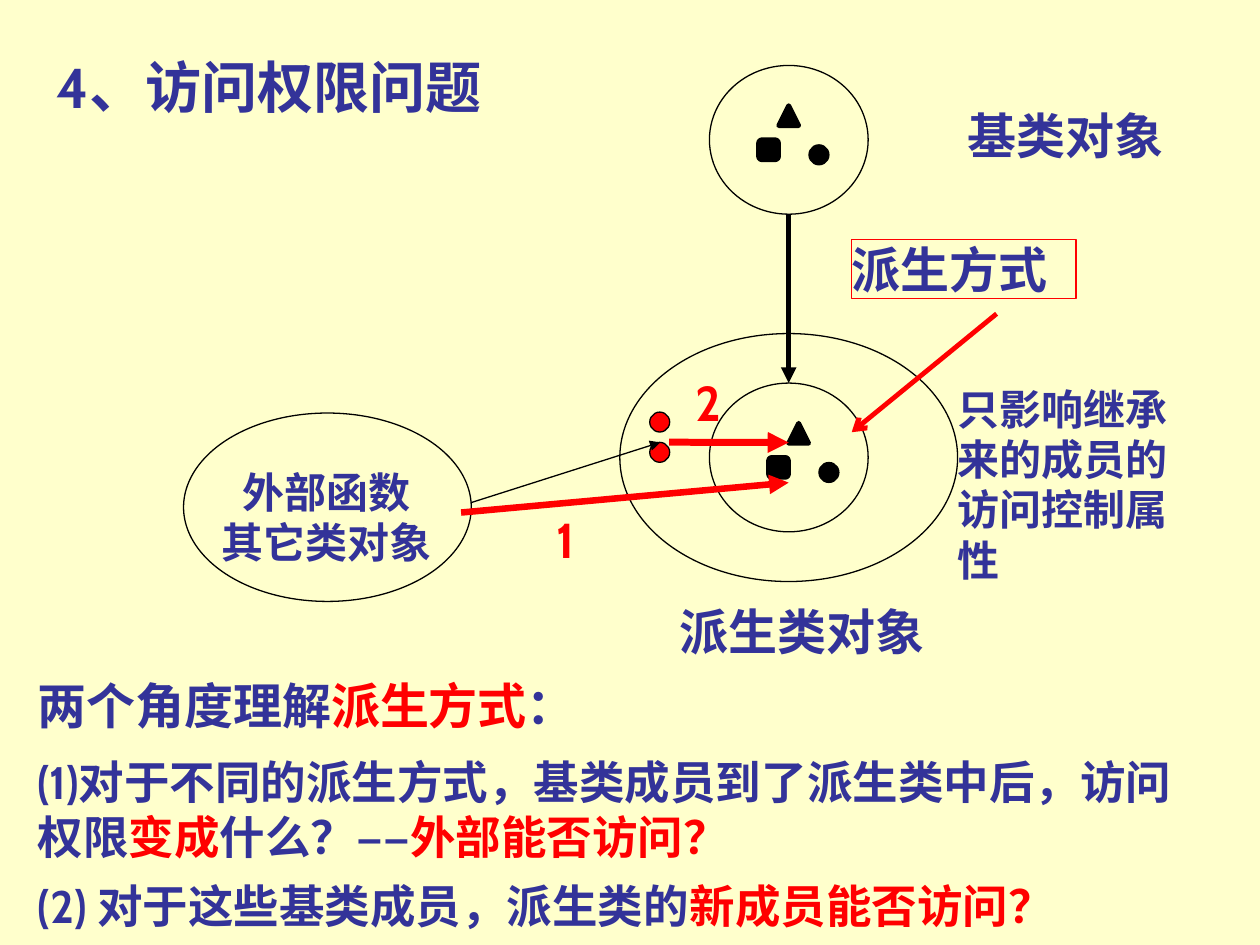
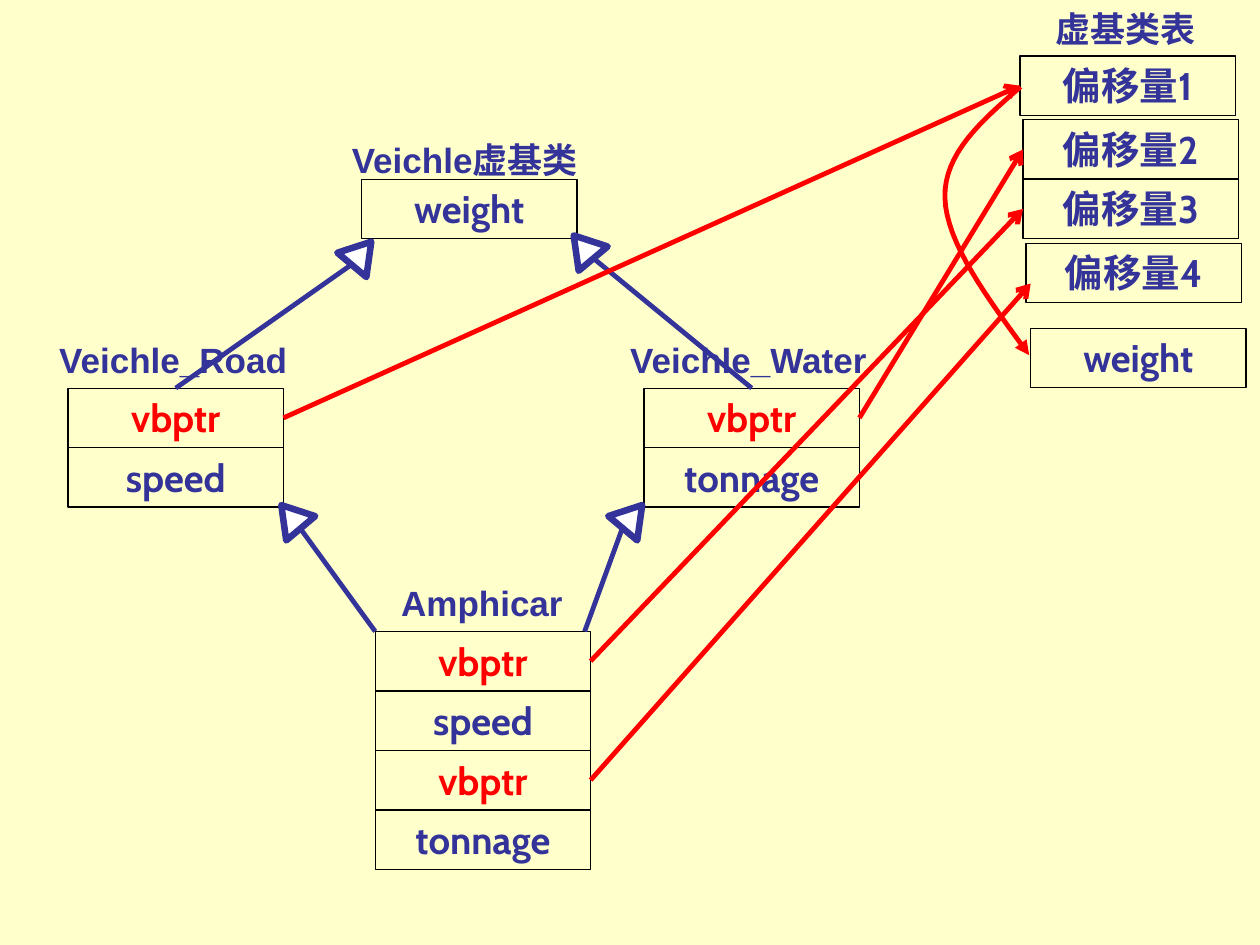
from dataclasses import dataclass
from lxml import etree
from pptx import Presentation
from pptx.dml.color import RGBColor
from pptx.enum.shapes import MSO_CONNECTOR as CONN, MSO_SHAPE as SHAPE
from pptx.enum.text import MSO_ANCHOR as ANCHOR, PP_ALIGN as ALIGN
from pptx.oxml.ns import qn
from pptx.util import Pt


@dataclass(frozen=True)
class Theme:
    paper: str = "FFFFCC"
    ink: str = "333399"
    accent: str = "FF0000"
    black: str = "000000"
    white: str = "FFFFFF"
    body_font: str = "Cabin"
    name_font: str = "Arial"
    title: int = 32
    label: int = 28
    question: int = 26
    note: int = 24
    cell: int = 22
    name: int = 20
    hair: float = 0.75
    thick: float = 2.75


T = Theme()
TOP, LEFT, RIGHT = 0, 1, 3
CELL_W, CELL_H = 123.1, 34
DOT = 11.4


def write(tf, paragraphs, size=T.label, font=T.body_font, color=T.ink,
          align=ALIGN.LEFT, anchor=ANCHOR.TOP, inset=(0, 0)):
    """Each paragraph is a list of runs; a run is a text or (text, color)."""
    tf.word_wrap = True
    tf.vertical_anchor = anchor
    tf.margin_left = tf.margin_right = Pt(inset[0])
    tf.margin_top = tf.margin_bottom = Pt(inset[1])
    for i, runs in enumerate(paragraphs):
        p = tf.paragraphs[0] if i == 0 else tf.add_paragraph()
        p.alignment = align
        for run in runs:
            text, run_color = (run, color) if isinstance(run, str) else run
            r = p.add_run()
            r.text = text
            r.font.size, r.font.bold, r.font.name = Pt(size), True, font
            r.font.color.rgb = RGBColor.from_string(run_color)
            # East Asian glyphs follow the same font's metrics
            etree.SubElement(r.font._element, qn("a:ea"), typeface=font)


class Deck:
    PADDED = (7.2, 3.6)

    def __init__(self):
        self.prs = Presentation()
        self.prs.slide_width, self.prs.slide_height = Pt(720), Pt(540)
        self.s = None

    def slide(self):
        self.s = self.prs.slides.add_slide(self.prs.slide_layouts[6])
        fill = self.s.background.fill
        fill.solid()
        fill.fore_color.rgb = RGBColor.from_string(T.paper)

    def text(self, x, y, w, h, *paragraphs, **fmt):
        box = self.s.shapes.add_textbox(Pt(x), Pt(y), Pt(w), Pt(h))
        write(box.text_frame, paragraphs, **fmt)

    def style(self, sp, fill, line, width):
        sp.shadow.inherit = False
        if fill:
            sp.fill.solid()
            sp.fill.fore_color.rgb = RGBColor.from_string(fill)
        else:
            sp.fill.background()
        sp.line.color.rgb = RGBColor.from_string(line)
        sp.line.width = Pt(width)

    def shape(self, kind, x, y, w, h, fill=None, line=T.black, width=T.hair, turn=0):
        sp = self.s.shapes.add_shape(kind, Pt(x), Pt(y), Pt(w), Pt(h))
        self.style(sp, fill, line, width)
        sp.rotation = turn
        return sp

    def head(self, sp, kind):
        etree.SubElement(sp.line._get_or_add_ln(), qn("a:tailEnd"), type=kind)

    def line(self, start, end, color=T.accent, width=T.thick, head=None):
        """An end is a point, or a (shape, side) pair to join."""
        points = [(0, 0) if hasattr(e[0], "shape_type") else e for e in (start, end)]
        c = self.s.shapes.add_connector(
            CONN.STRAIGHT, *(Pt(v) for point in points for v in point))
        for e, join in ((start, c.begin_connect), (end, c.end_connect)):
            if hasattr(e[0], "shape_type"):
                join(*e)
        c.line.color.rgb = RGBColor.from_string(color)
        c.line.width = Pt(width)
        if head:
            self.head(c, head)
        etree.SubElement(c._element.spPr, qn("a:effectLst"))

    def curve(self, start, *segments, steps=16):
        """Draw joined cubic segments, each (control, control, end)."""
        points, p0 = [], start
        for p1, p2, p3 in segments:
            for t in (k / steps for k in range(1, steps + 1)):
                u = 1 - t
                points.append(tuple(
                    Pt(u**3 * a + 3 * u * u * t * b + 3 * u * t * t * c + t**3 * d)
                    for a, b, c, d in zip(p0, p1, p2, p3)))
            p0 = p3
        fb = self.s.shapes.build_freeform(Pt(start[0]), Pt(start[1]))
        fb.add_line_segments(points, close=False)
        sp = fb.convert_to_shape()
        self.style(sp, None, T.accent, T.thick)
        self.head(sp, "triangle")

    def cell(self, x, y, label):
        sp = self.shape(SHAPE.RECTANGLE, x, y, CELL_W, CELL_H)
        color = T.accent if label == "vbptr" else T.ink
        write(sp.text_frame, [[label]], size=T.cell, color=color,
              align=ALIGN.CENTER, inset=self.PADDED)
        return sp

    def stack(self, x, y, *labels):
        return [self.cell(x, y + i * CELL_H, label) for i, label in enumerate(labels)]

    def name(self, x, y, w, label):
        self.text(x, y, w, 31.7, [label], size=T.name, font=T.name_font,
                  align=ALIGN.CENTER, inset=self.PADDED)

    def members(self, x, y):
        """Triangle, square and dot standing for the members of a class."""
        for kind, dx, dy, width in ((SHAPE.ISOSCELES_TRIANGLE, 11.5, 0, T.thick),
                                    (SHAPE.ROUNDED_RECTANGLE, 0, 19.5, T.thick),
                                    (SHAPE.OVAL, 28.8, 22.4, T.hair)):
            self.shape(kind, x + dx, y + dy, DOT, DOT, T.black, width=width)


def access_slide(d):
    d.slide()
    d.text(25.2, 0, 676, 72, ["4、访问权限问题"], size=T.title,
           anchor=ANCHOR.BOTTOM, inset=d.PADDED)

    # Base object, derived object and outside callers
    d.shape(SHAPE.OVAL, 354.2, 190.6, 193, 141.7)
    for y, shift in ((37.4, 0), (218.9, 5.7)):
        d.shape(SHAPE.OVAL, 405.4, y, 90.7, 85)
        d.members(433.5 + shift, y + 23)
    for y in (235.5, 252.8):
        d.shape(SHAPE.OVAL, 371.3, y, DOT, DOT, T.accent)
    d.shape(SHAPE.OVAL, 104.9, 236, 164.4, 107.7)

    # Labels
    d.text(553, 60.5, 130, 34, ["基类对象"])
    d.text(388.4, 343.7, 158.4, 34, ["派生类对象"])
    d.text(115.9, 266.4, 141.7, 57.6, ["外部函数"], ["其它类对象"],
           size=T.note, align=ALIGN.CENTER)
    way = d.shape(SHAPE.RECTANGLE, 486.7, 136.8, 128.2, 34, line=T.accent)
    write(way.text_frame, [["派生方式"]])
    d.text(547.2, 218.9, 130.3, 115.2, ["只影响继承来的成员的访问控制属性"], size=T.note)

    # Arrows
    d.line((269.3, 287.2), (377.3, 252.8), T.black, T.hair, "triangle")
    d.line((450.7, 122.4), (450.7, 218.9), T.black, 3, "triangle")
    d.line((263.5, 292.9), (450.7, 275.8), width=3.75, head="triangle")
    d.line((382.4, 252.7), (450.7, 252.9), width=4, head="triangle")
    d.line((569.5, 179.3), (486.7, 247), head="arrow")
    for number, x, y in (("1", 306, 290.9), ("2", 388.1, 213.1)):
        d.text(x, y, 34, 34, [number], color=T.accent, align=ALIGN.CENTER)

    # Two ways to understand derivation
    for y, h, size, runs in (
            (372.2, 51.1, T.label, ["两个角度理解", ("派生方式", T.accent), "："]),
            (411.8, 85, T.question,
             ["(1)对于不同的派生方式，基类成员到了派生类中后，访问权限",
              ("变成", T.accent), "什么？——", ("外部能否访问？", T.accent)]),
            (485.3, 51.1, T.question,
             ["(2) 对于这些基类成员，派生类的", ("新成员能否访问？", T.accent)])):
        d.text(14.4, y, 663.1, h, runs, size=size, anchor=ANCHOR.BOTTOM, inset=d.PADDED)


def virtual_base_slide(d):
    d.slide()

    # Class layouts
    d.cell(206.6, 102.4, "weight")
    road, _ = d.stack(38.9, 221.8, "vbptr", "speed")
    water, _ = d.stack(368, 221.8, "vbptr", "tonnage")
    car_road, _, car_water, _ = d.stack(214.4, 360.8, "vbptr", "speed", "vbptr", "tonnage")
    for x, y, w, label in ((177.1, 75.6, 177.1, "Veichle虚基类"),
                           (25.2, 190.1, 147.6, "Veichle_Road"),
                           (348.5, 190.1, 158.4, "Veichle_Water"),
                           (201.6, 329, 147.6, "Amphicar"),
                           (569.5, 0.7, 147.6, "虚基类表")):
        d.name(x, y, w, label)

    # Virtual base table
    offsets = [d.cell(x, y, f"偏移量{i}") for i, (x, y) in enumerate(
        ((582.8, 32), (584.6, 68.4), (584.6, 102.4), (586.2, 139)), 1)]
    d.cell(588.9, 187.5, "weight")

    # Inheritance lines with hollow heads
    for start, end, head, turn in (
            ((road, TOP), (200.9, 151.2), (195.8, 136.1), 40),
            ((water, TOP), (339.1, 147.6), (322.6, 132.5), 320),
            ((214.4, 360.8), (171.4, 301.7), (155.5, 286.6), 320),
            ((334.1, 360.8), (355.7, 301.7), (350.6, 286.6), 40)):
        d.line(start, end, T.ink)
        d.shape(SHAPE.ISOSCELES_TRIANGLE, *head, 21.6, 17.3, T.white, T.ink, 3.75, turn)

    # Pointers into the table
    for source, offset in zip((road, water, car_road), offsets):
        d.line((source, RIGHT), (offset, LEFT), head="arrow")
    d.line((car_water, RIGHT), (589, 162), head="arrow")
    d.curve((583.2, 49.7), ((560.9, 69.1), (539.3, 87.8), (540, 113)),
            ((540.7, 139), (564.5, 170.6), (588.2, 203)))


def main():
    d = Deck()
    access_slide(d)
    virtual_base_slide(d)
    d.prs.save("out.pptx")


if __name__ == "__main__":
    main()
